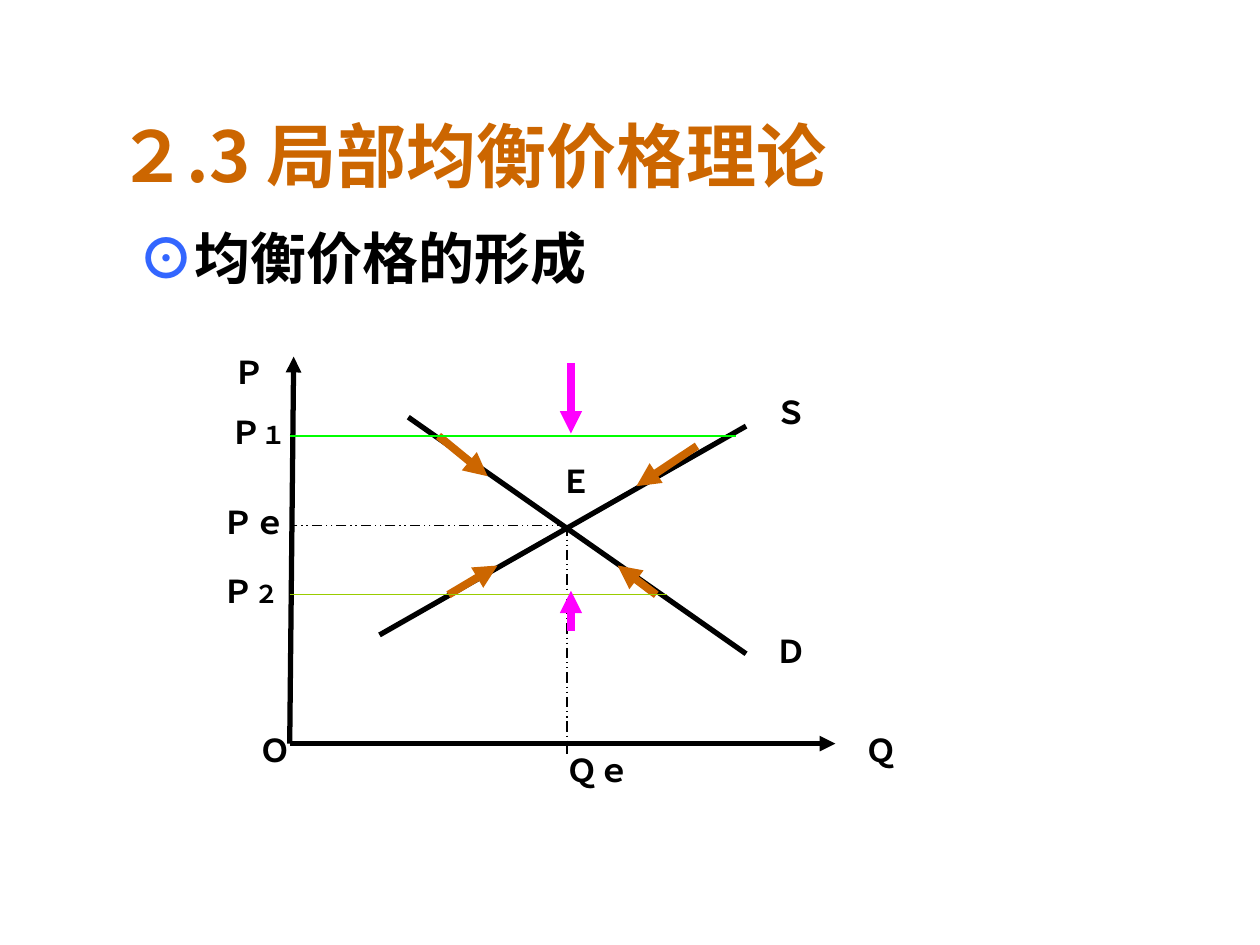
"""Build a slide on how supply and demand form the equilibrium price."""
from dataclasses import dataclass

from lxml import etree
from pptx import Presentation
from pptx.dml.color import RGBColor
from pptx.enum.dml import MSO_LINE
from pptx.enum.shapes import MSO_CONNECTOR
from pptx.enum.text import MSO_ANCHOR
from pptx.oxml.ns import qn
from pptx.util import Cm, Pt

STRAIGHT = MSO_CONNECTOR.STRAIGHT
DASH_DOT_DOT = MSO_LINE.DASH_DOT_DOT
TOP, MIDDLE = MSO_ANCHOR.TOP, MSO_ANCHOR.MIDDLE


@dataclass(frozen=True)
class Theme:
    ink: str = "000000"
    accent: str = "CC6600"
    marker: str = "3366FF"
    high_price: str = "00FF00"
    low_price: str = "99CC00"
    pressure: str = "FF00FF"
    latin: str = "Arial"
    chinese: str = "Noto Sans CJK SC"
    title_size: int = 40
    heading_size: int = 32
    label_size: int = 18
    index_size: int = 14
    curve: float = 3
    movement: float = 4.5
    push: float = 4.25
    guide: float = 0.75


class SlideBuilder:
    def __init__(self, slide, theme):
        self.slide = slide
        self.theme = theme

    def text(self, place, parts, size, color, latin, anchor=TOP, wrap=True):
        box = self.slide.shapes.add_textbox(*map(Cm, place))
        frame = box.text_frame
        frame.word_wrap = wrap
        frame.vertical_anchor = anchor
        paragraph = frame.paragraphs[0]
        font = paragraph.font
        font.name, font.size, font.bold = latin, Pt(size), True
        font.color.rgb = RGBColor.from_string(color)
        defaults = paragraph._p.pPr.find(qn("a:defRPr"))
        etree.SubElement(defaults, qn("a:ea"), typeface=self.theme.chinese)
        for words in parts:
            paragraph.add_run().text = words
        return frame

    def title(self, words):
        theme = self.theme
        self.text((2.11, 1.9, 20.32, 2.41), [words], theme.title_size,
                  theme.accent, theme.chinese, MIDDLE)

    def heading(self, marker, words):
        theme = self.theme
        frame = self.text((2.54, 4.65, 19.89, 1.47), [marker, words],
                          theme.heading_size, theme.ink, theme.chinese)
        frame.margin_top = 0
        paragraph = frame.paragraphs[0]
        paragraph.line_spacing = 0.9
        marker_font = paragraph.runs[0].font
        marker_font.name = theme.latin
        marker_font.color.rgb = RGBColor.from_string(theme.marker)

    def label(self, left, top, letter, index=""):
        theme = self.theme
        width = 1.63 if index else 0.51 + 0.63 * len(letter)
        parts = [letter, index] if index else [letter]
        frame = self.text((left, top, width, 1.02), parts, theme.label_size,
                          theme.ink, theme.latin, wrap=False)
        if index:
            frame.paragraphs[0].runs[1].font.size = Pt(theme.index_size)

    def line(self, start, end, color, width, arrow=False, dash=None):
        connector = self.slide.shapes.add_connector(
            STRAIGHT, *map(Cm, (*start, *end)))
        connector.line.color.rgb = RGBColor.from_string(color)
        connector.line.width = Pt(width)
        if dash:
            connector.line.dash_style = dash
        properties = connector._element.spPr
        if arrow:
            etree.SubElement(properties.find(qn("a:ln")), qn("a:tailEnd"),
                             type="triangle")
        etree.SubElement(properties, qn("a:effectLst"))


def draw_market(builder):
    theme = builder.theme
    axis_x, axis_y = 5.84, 14.99
    origin = (axis_x, axis_y)
    equilibrium = (11.43, 10.59)
    high_y, low_y = 8.79, 11.99
    push_x = 11.51

    for axis_end in ((16.84, axis_y), (5.92, 7.19)):
        builder.line(origin, axis_end, theme.ink, theme.curve, arrow=True)
    supply = ((7.65, 12.8), (15.04, 8.59))
    demand = ((15.04, 13.18), (8.23, 8.41))
    for curve in (supply, demand):
        builder.line(*curve, theme.ink, theme.curve)

    movements = (
        ((14.05, 8.99), (12.83, 9.8)),
        ((8.84, high_y), (9.83, 9.6)),
        ((9.04, low_y), (10.03, 11.4)),
        ((13.23, low_y), (12.45, 11.4)),
    )
    for movement in movements:
        builder.line(*movement, theme.accent, theme.movement, arrow=True)

    for foot in ((axis_x, equilibrium[1]), (equilibrium[0], 15.19)):
        builder.line(equilibrium, foot, theme.ink, theme.guide,
                     dash=DASH_DOT_DOT)
    for price_y, right, color in ((high_y, 14.83, theme.high_price),
                                  (low_y, 13.44, theme.low_price)):
        builder.line((axis_x, price_y), (right, price_y), color, theme.guide)

    labels = (
        (15.39, 7.8, "Ｓ"), (15.39, 12.62, "Ｄ"), (4.98, 14.61, "Ｏ"),
        (17.2, 14.61, "Ｑ"), (4.45, 6.99, "Ｐ"), (11.05, 9.19, "Ｅ"),
        (4.24, 10.01, "Ｐｅ"), (11.18, 15.01, "Ｑｅ"),
        (4.39, 8.2, "Ｐ", "１"), (4.24, 11.4, "Ｐ", "２"),
    )
    for label in labels:
        builder.label(*label)

    for start_y, end_y in ((7.32, 8.74), (12.73, 11.91)):
        builder.line((push_x, start_y), (push_x, end_y), theme.pressure,
                     theme.push, arrow=True)


def main():
    presentation = Presentation()
    presentation.slide_width, presentation.slide_height = Cm(25.4), Cm(19.05)
    slide = presentation.slides.add_slide(presentation.slide_layouts[6])
    builder = SlideBuilder(slide, Theme())
    builder.title("２.3 局部均衡价格理论")
    builder.heading("⊙", "均衡价格的形成")
    draw_market(builder)
    presentation.save("out.pptx")


if __name__ == "__main__":
    main()
